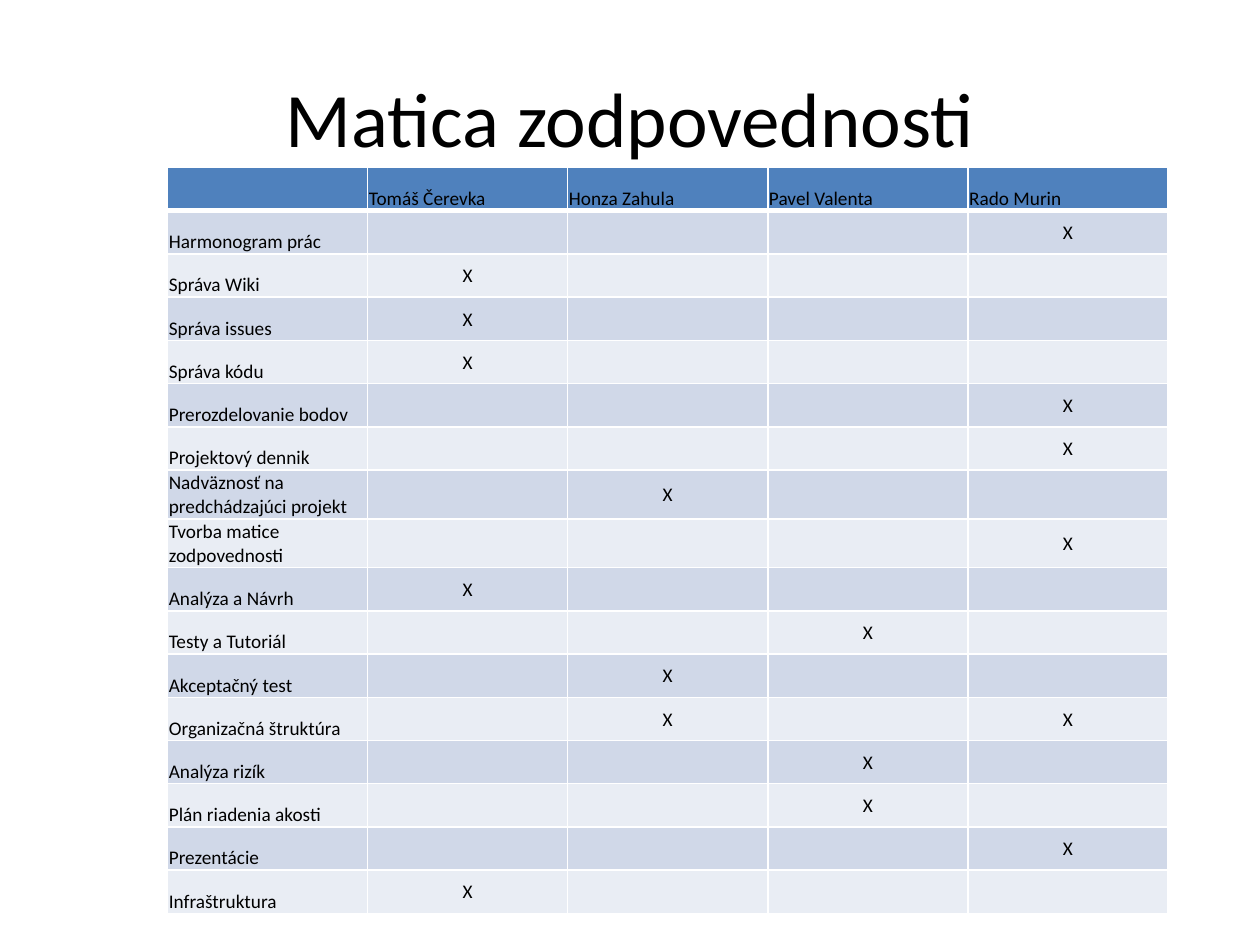
from dataclasses import dataclass

from lxml.etree import SubElement
from pptx import Presentation
from pptx.dml.color import RGBColor
from pptx.enum.text import MSO_ANCHOR as Anchor, PP_ALIGN as Align
from pptx.oxml.ns import qn
from pptx.util import Inches, Pt


@dataclass(frozen=True)
class Theme:
    font: str = "Calibri"
    text: str = "000000"
    header: str = "4F81BD"
    bands: tuple = ("D0D8E8", "E9EDF4")
    border: str = "FFFFFF"
    title_size: int = 44
    cell_size: int = 11
    thin: int = 1
    thick: int = 3


THEME = Theme()
PEOPLE = ["Tomáš Čerevka", "Honza Zahula", "Pavel Valenta", "Rado Murin"]
TOMAS, HONZA, PAVEL, RADO = range(len(PEOPLE))
TASKS = [
    ("Harmonogram prác", {RADO}),
    ("Správa Wiki", {TOMAS}),
    ("Správa issues", {TOMAS}),
    ("Správa kódu", {TOMAS}),
    ("Prerozdelovanie bodov", {RADO}),
    ("Projektový dennik", {RADO}),
    ("Nadväznosť na predchádzajúci projekt", {HONZA}),
    ("Tvorba matice zodpovednosti", {RADO}),
    ("Analýza a Návrh", {TOMAS}),
    ("Testy a Tutoriál", {PAVEL}),
    ("Akceptačný test", {HONZA}),
    ("Organizačná štruktúra", {HONZA, RADO}),
    ("Analýza rizík", {PAVEL}),
    ("Plán riadenia akosti", {PAVEL}),
    ("Prezentácie", {RADO}),
    ("Infraštruktura", {TOMAS}),
]


def format_text(tf, size, align):
    p = tf.paragraphs[0]
    p.alignment = align
    for r in p.runs:
        r.font.name = THEME.font
        r.font.size = Pt(size)
        r.font.bold = False
        r.font.color.rgb = RGBColor.from_string(THEME.text)


def add_title(slide, text):
    title = slide.shapes.title
    title.left, title.top = Inches(0.5), Inches(0.3)
    title.width, title.height = Inches(9), Inches(1.25)
    tf = title.text_frame
    tf.text = text
    tf.vertical_anchor = Anchor.MIDDLE
    format_text(tf, THEME.title_size, Align.CENTER)


def set_borders(cell, top, bottom):
    tc_pr = cell._tc.get_or_add_tcPr()
    widths = {"L": THEME.thin, "R": THEME.thin, "T": top, "B": bottom}
    for side, width in widths.items():
        line = SubElement(tc_pr, qn(f"a:ln{side}"), w=str(Pt(width)))
        fill = SubElement(line, qn("a:solidFill"))
        SubElement(fill, qn("a:srgbClr"), val=THEME.border)


def fill_cell(cell, text, row, centred):
    set_borders(
        cell,
        top=THEME.thick if row == 1 else THEME.thin,
        bottom=THEME.thick if row == 0 else THEME.thin,
    )
    color = THEME.bands[(row - 1) % 2] if row else THEME.header
    cell.fill.solid()
    cell.fill.fore_color.rgb = RGBColor.from_string(color)
    cell.margin_left = cell.margin_right = cell.margin_top = Inches(0.01)
    cell.margin_bottom = 0
    cell.vertical_anchor = Anchor.MIDDLE if centred else Anchor.BOTTOM
    if text:
        cell.text_frame.text = text
        format_text(cell.text_frame, THEME.cell_size,
                    Align.CENTER if centred else Align.LEFT)


def add_matrix(slide):
    rows = [["", *PEOPLE]]
    for task, owners in TASKS:
        marks = ["X" if i in owners else "" for i in range(len(PEOPLE))]
        rows.append([task, *marks])
    table = slide.shapes.add_table(
        len(rows), len(rows[0]),
        Inches(1.33), Inches(1.33), Inches(7.94), Inches(5.83),
    ).table
    for i, row in enumerate(rows):
        for j, text in enumerate(row):
            fill_cell(table.cell(i, j), text, i, centred=i > 0 and j > 0)


def main():
    prs = Presentation()
    prs.slide_width, prs.slide_height = Inches(10), Inches(7.5)
    slide = prs.slides.add_slide(prs.slide_layouts[5])
    add_title(slide, "Matica zodpovednosti")
    add_matrix(slide)
    prs.save("out.pptx")


if __name__ == "__main__":
    main()
